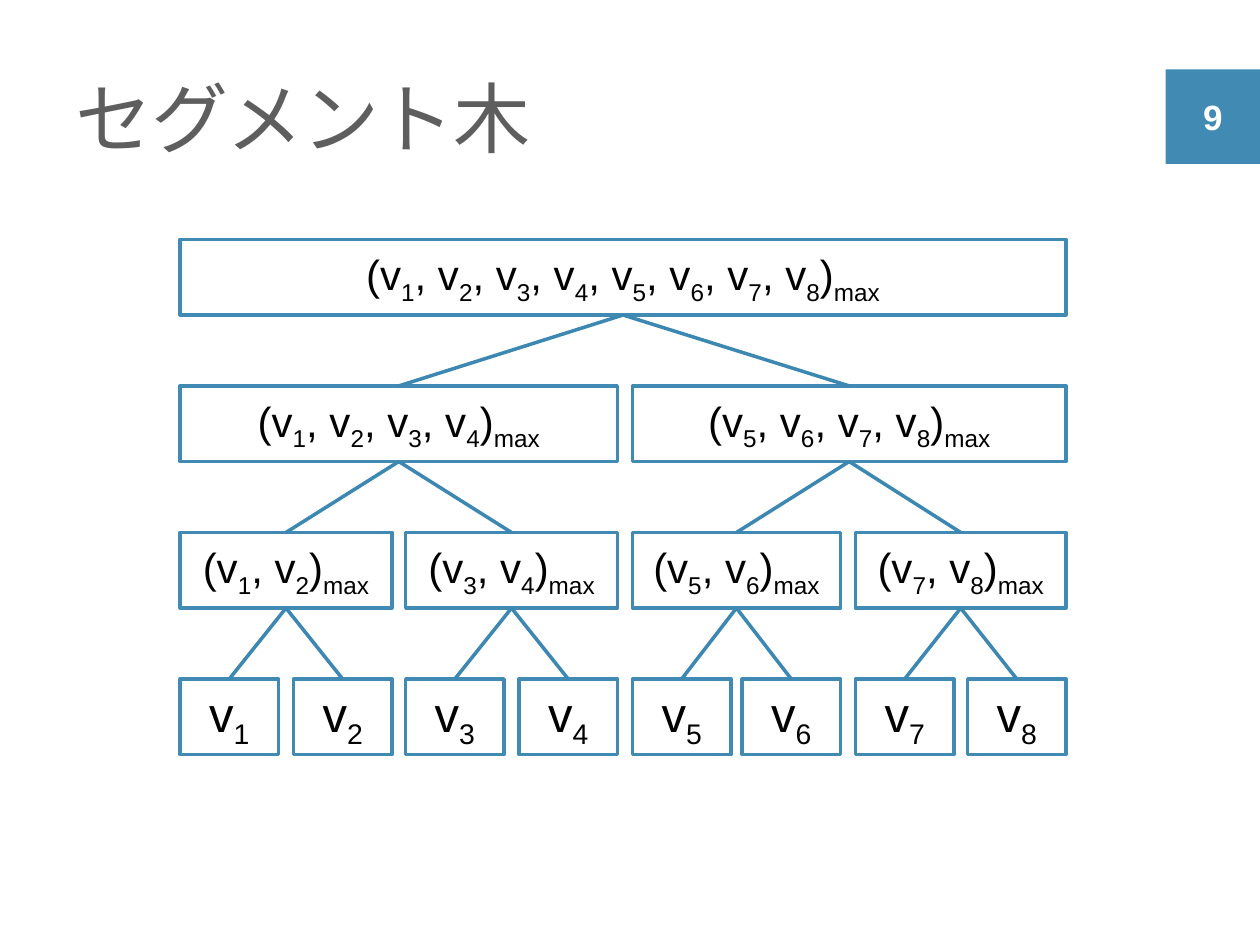
from lxml.etree import SubElement
from pptx import Presentation
from pptx.dml.color import RGBColor
from pptx.enum.shapes import MSO_CONNECTOR as Connector, MSO_SHAPE as Shape
from pptx.enum.text import MSO_ANCHOR as Anchor, PP_ALIGN as Align
from pptx.oxml.ns import qn
from pptx.util import Inches, Pt

# Content
TITLE = "セグメント木"
PAGE_NUMBER = "9"
LEVEL_SPANS = [8, 4, 2, 1]  # leaves covered by each node, from root to leaves

# Layout in inches
LEAF_LEFTS = [1.43, 2.33, 3.22, 4.12, 5.02, 5.89, 6.79, 7.68]
LEAF_WIDTH, NODE_HEIGHT = 0.78, 0.6
TREE_TOP, LEVEL_STEP = 1.9, 1.163

BLUE, EDGE_BLUE, GRAY, BLACK, WHITE = "418AB3", "3D88B2", "5E5E5E", "000000", "FFFFFF"


def color(hex_code):
    return RGBColor.from_string(hex_code)


def add_span(para, text, size, hex_code, subscript=False, bold=False):
    span = para.add_run()
    span.text = text
    span.font.name = "Arial"
    span.font.size = Pt(size)
    span.font.bold = bold
    span.font.color.rgb = color(hex_code)
    if subscript:
        span._r.get_or_add_rPr().set("baseline", "-25000")
    return span


def add_box(page, left, top, width, height, fill):
    box = page.shapes.add_shape(
        Shape.RECTANGLE, Inches(left), Inches(top), Inches(width), Inches(height))
    box.shadow.inherit = False
    box.fill.solid()
    box.fill.fore_color.rgb = color(fill)
    box.line.fill.background()
    box.text_frame.word_wrap = True
    box.text_frame.vertical_anchor = Anchor.MIDDLE
    box.text_frame.paragraphs[0].alignment = Align.CENTER
    return box


def node_parts(first, span_count):
    """Text pieces of a node; every second piece is a subscript."""
    numbers = range(first + 1, first + span_count + 1)
    if span_count == 1:
        return ["v", str(first + 1)]
    parts = []
    for number in numbers:
        parts += [", v" if parts else "(v", str(number)]
    return parts + [")", "max"]


def add_node(page, level, first, span_count):
    left = LEAF_LEFTS[first]
    right = LEAF_LEFTS[first + span_count - 1] + LEAF_WIDTH
    box = add_box(page, left, TREE_TOP + level * LEVEL_STEP,
                  right - left, NODE_HEIGHT, WHITE)
    box.line.color.rgb = color(BLUE)
    box.line.width = Pt(2)
    size = 28 if span_count == 1 else 24
    for index, part in enumerate(node_parts(first, span_count)):
        add_span(box.text_frame.paragraphs[0], part, size, BLACK,
                 subscript=index % 2 == 1)
    return box


def add_edge(page, parent, child):
    edge = page.shapes.add_connector(Connector.STRAIGHT, 0, 0, 0, 0)
    edge.begin_connect(parent, 2)  # bottom centre
    edge.end_connect(child, 0)  # top centre
    edge.line.color.rgb = color(EDGE_BLUE)
    edge.line.width = Pt(2)
    SubElement(edge._element.spPr, qn("a:effectLst"))


def main():
    deck = Presentation()
    deck.slide_width, deck.slide_height = Inches(10), Inches(7.5)
    page = deck.slides.add_slide(deck.slide_layouts[6])

    # Page number
    badge = add_box(page, 9.25, 0.55, 0.75, 0.75, BLUE)
    add_span(badge.text_frame.paragraphs[0], PAGE_NUMBER, 20, WHITE, bold=True)

    # Title
    title = page.shapes.add_textbox(Inches(0.5), Inches(0.3), Inches(9.29), Inches(1.25))
    title.text_frame.word_wrap = True
    title.text_frame.vertical_anchor = Anchor.MIDDLE
    span = add_span(title.text_frame.paragraphs[0], TITLE, 44, GRAY)
    span._r.get_or_add_rPr().set("spc", "-80")

    # Tree, level by level
    parents = []
    for level, span_count in enumerate(LEVEL_SPANS):
        nodes = [add_node(page, level, first, span_count)
                 for first in range(0, len(LEAF_LEFTS), span_count)]
        if parents:
            for index, node in enumerate(nodes):
                add_edge(page, parents[index // 2], node)
        parents = nodes

    deck.save("out.pptx")


if __name__ == "__main__":
    main()
